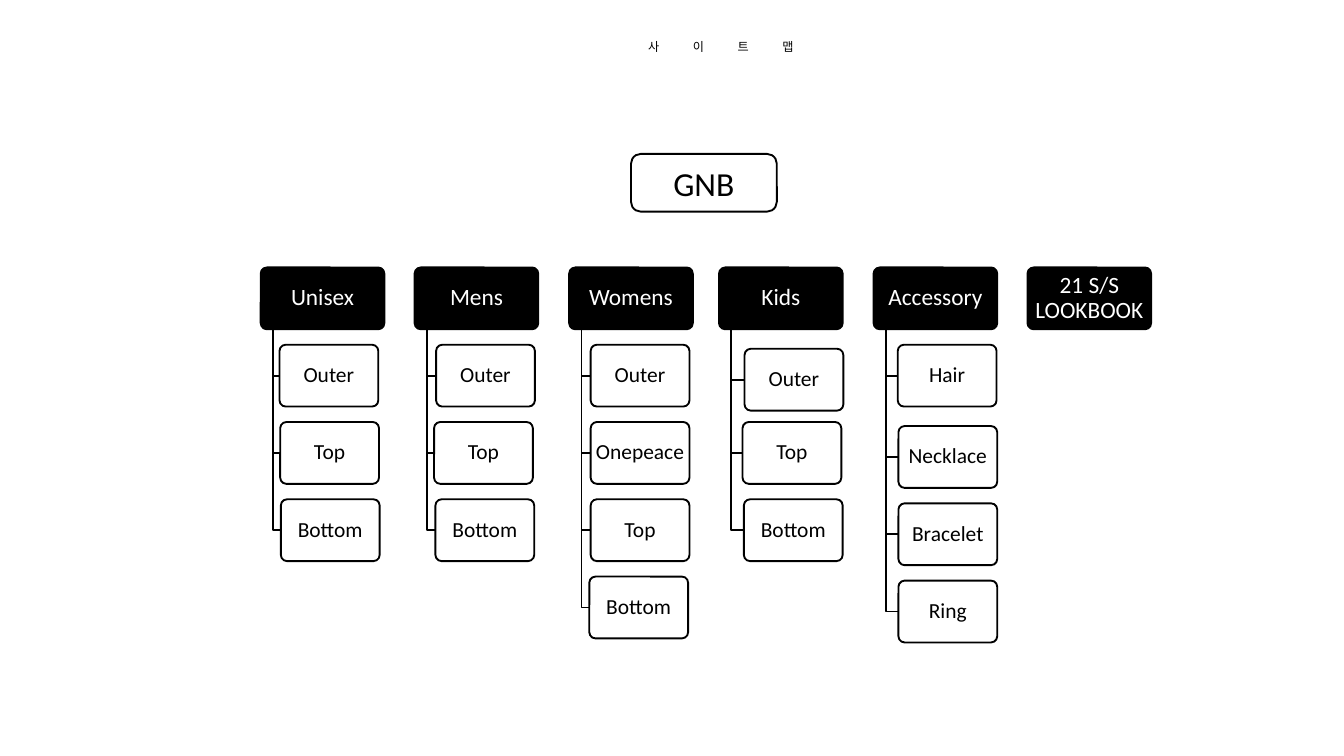
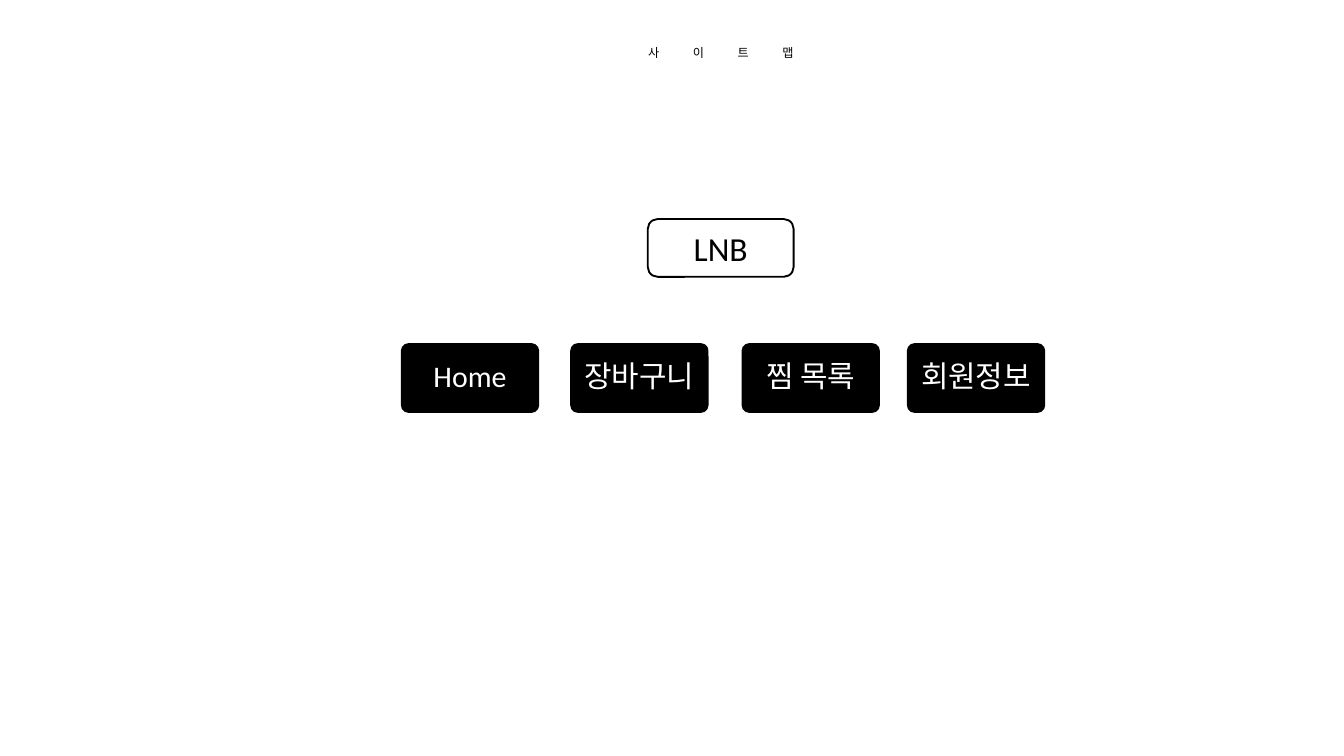
from dataclasses import dataclass
from typing import Any

from lxml.etree import SubElement
from pptx import Presentation
from pptx.dml.color import RGBColor
from pptx.enum.shapes import MSO_SHAPE as Preset
from pptx.enum.text import MSO_ANCHOR as Anchor, MSO_AUTO_SIZE as AutoSize, PP_ALIGN as Align
from pptx.oxml.ns import qn
from pptx.util import Inches, Pt


@dataclass(frozen=True)
class Theme:
    black: RGBColor = RGBColor(0, 0, 0)
    white: RGBColor = RGBColor(255, 255, 255)
    latin: str = "Calibri"
    korean: str = "Noto Sans CJK KR"
    title_size: int = 13
    title_spacing: int = 36
    root_size: int = 36
    menu_size: int = 32
    head_size: int = 25
    item_size: int = 23
    line: int = 2


@dataclass(frozen=True)
class CardStyle:
    width: float
    height: float
    size: int
    fill: RGBColor
    ink: RGBColor
    side: float = 0.1
    edge: float = 0.05
    corner: float = 0.1
    line_spacing: float = 0.9
    opacity: int = 100


@dataclass(frozen=True)
class Item:
    label: str
    left: float
    drop: float = 0


@dataclass(frozen=True)
class Category:
    label: str
    left: float
    items: tuple[Item, ...] = ()


THEME = Theme()
ROOT = CardStyle(2.17, 0.86, THEME.root_size, THEME.white, THEME.black,
                 corner=0.17, line_spacing=1.0)
MENU = CardStyle(2.03, 1.01, THEME.menu_size, THEME.black, THEME.white, 0.07, 0.04)
HEAD = CardStyle(1.84, 0.92, THEME.head_size, THEME.black, THEME.white, 0.04, 0.03)
ITEM = CardStyle(1.47, 0.92, THEME.item_size, THEME.white, THEME.black, 0.04, 0.03,
                 opacity=90)

HEAD_TOP, ITEM_TOP = 3.98, 5.13
ROW_PITCH = ITEM.height * 1.25
RAIL_INSET = HEAD.width / 10
NUDGE = 0.06

CATEGORIES = (
    Category("Unisex", 3.88, (
        Item("Outer", 4.16), Item("Top", 4.17), Item("Bottom", 4.18))),
    Category("Mens", 6.17, (
        Item("Outer", 6.49), Item("Top", 6.46), Item("Bottom", 6.48))),
    Category("Womens", 8.47, (
        Item("Outer", 8.79), Item("Onepeace", 8.79),
        Item("Top", 8.79), Item("Bottom", 8.77))),
    Category("Kids", 10.7, (
        Item("Outer", 11.08, NUDGE), Item("Top", 11.05), Item("Bottom", 11.07))),
    Category("Accessory", 13, (
        Item("Hair", 13.36), Item("Necklace", 13.37, NUDGE),
        Item("Bracelet", 13.37, NUDGE), Item("Ring", 13.37, NUDGE))),
    Category("21 S/S LOOKBOOK", 15.29),
)
MENUS = (("Home", 5.98), ("장바구니", 8.5), ("찜 목록", 11.05), ("회원정보", 13.51))


def set_all(target: Any, values: dict[str, Any]) -> None:
    for name, value in values.items():
        setattr(target, name, value)


def write(box: Any, text: str, font: str, size: int, ink: RGBColor,
          line_spacing: float = 1.0) -> Any:
    """Put one centred line of text in a box and return its span."""
    para = box.text_frame.paragraphs[0]
    set_all(para, {"alignment": Align.CENTER, "line_spacing": line_spacing})
    span = para.add_run()
    span.text = text
    set_all(span.font, {"name": font, "size": Pt(size), "bold": False})
    span.font.color.rgb = ink
    SubElement(span._r.get_or_add_rPr(), qn("a:ea")).set("typeface", THEME.korean)
    return span


def outline(shape: Any) -> None:
    shape.shadow.inherit = False
    shape.line.color.rgb = THEME.black
    shape.line.width = Pt(THEME.line)


def add_card(page: Any, text: str, left: float, top: float, style: CardStyle) -> None:
    card = page.shapes.add_shape(Preset.ROUNDED_RECTANGLE, Inches(left), Inches(top),
                                 Inches(style.width), Inches(style.height))
    card.adjustments[0] = style.corner
    card.fill.solid()
    card.fill.fore_color.rgb = style.fill
    if style.opacity < 100:
        colour = card._element.spPr.find(f"{qn('a:solidFill')}/{qn('a:srgbClr')}")
        SubElement(colour, qn("a:alpha")).set("val", str(style.opacity * 1000))
    outline(card)
    set_all(card.text_frame, {
        "word_wrap": True, "vertical_anchor": Anchor.MIDDLE,
        "margin_left": Inches(style.side), "margin_right": Inches(style.side),
        "margin_top": Inches(style.edge), "margin_bottom": Inches(style.edge)})
    write(card, text, THEME.latin, style.size, style.ink, style.line_spacing)


def add_branch(page: Any, rail: float, top: float, right: float, bottom: float) -> None:
    """Draw the elbow that runs down the rail and across to an item."""
    builder = page.shapes.build_freeform(Inches(rail), Inches(top))
    builder.add_line_segments([(Inches(rail), Inches(bottom)),
                               (Inches(right), Inches(bottom))], close=False)
    branch = builder.convert_to_shape()
    branch.fill.background()
    outline(branch)


def add_category(page: Any, category: Category) -> None:
    add_card(page, category.label, category.left, HEAD_TOP, HEAD)
    for row, item in enumerate(category.items):
        top = ITEM_TOP + row * ROW_PITCH + item.drop
        add_branch(page, category.left + RAIL_INSET, HEAD_TOP + HEAD.height,
                   item.left, top + ITEM.height / 2)
        add_card(page, item.label, item.left, top, ITEM)


def add_page(deck: Any, title_top: float) -> Any:
    """Add a page with the shared, widely spaced title."""
    page = deck.slides.add_slide(deck.slide_layouts[5])
    title = page.shapes.title
    set_all(title, {"left": Inches(3.67), "top": Inches(title_top),
                    "width": Inches(14.11), "height": Inches(0.32)})
    set_all(title.text_frame, {"word_wrap": True, "auto_size": AutoSize.NONE,
                               "vertical_anchor": Anchor.TOP})
    span = write(title, "사이트맵", THEME.korean, THEME.title_size, THEME.black)
    span._r.get_or_add_rPr().set("spc", str(THEME.title_spacing * 100))
    return page


def main() -> None:
    deck = Presentation()
    deck.slide_width, deck.slide_height = Inches(20), Inches(11.25)

    # Global navigation: categories and their items
    page = add_page(deck, 0.54)
    for category in CATEGORIES:
        add_category(page, category)
    add_card(page, "GNB", 9.39, 2.29, ROOT)

    # Local navigation: one row of menus
    page = add_page(deck, 0.62)
    for label, left in MENUS:
        add_card(page, label, left, 5.12, MENU)
    add_card(page, "LNB", 9.64, 3.26, ROOT)

    deck.save("out.pptx")


if __name__ == "__main__":
    main()
